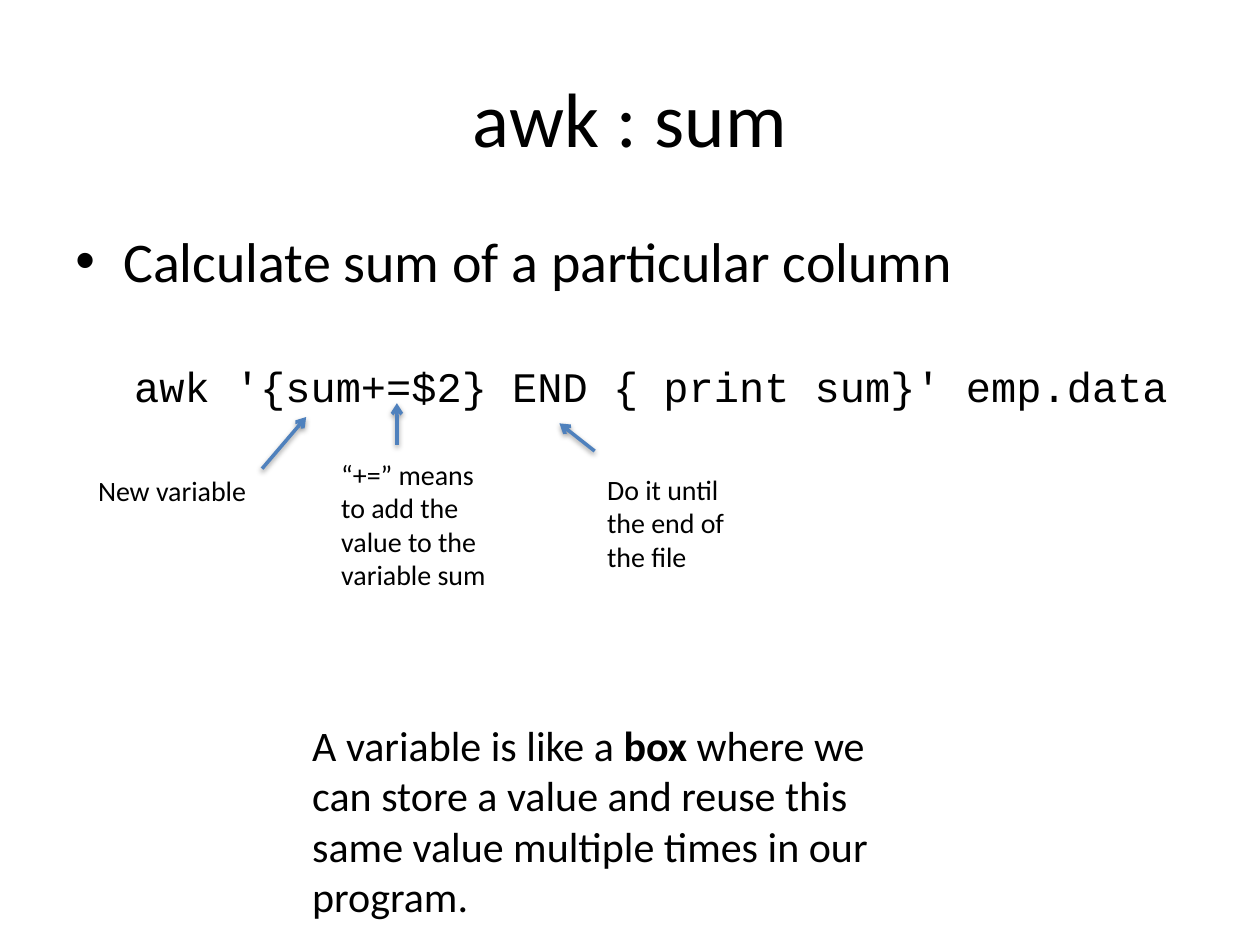
"""Build a slide that explains summing a column with awk."""
from lxml import etree
from pptx import Presentation
from pptx.dml.color import RGBColor
from pptx.enum.shapes import MSO_CONNECTOR
from pptx.enum.text import MSO_ANCHOR, PP_ALIGN
from pptx.oxml import parse_xml
from pptx.oxml.ns import nsdecls, qn
from pptx.util import Inches, Pt

STRAIGHT = MSO_CONNECTOR.STRAIGHT
LEFT, CENTER = PP_ALIGN.LEFT, PP_ALIGN.CENTER
TOP, MIDDLE = MSO_ANCHOR.TOP, MSO_ANCHOR.MIDDLE
COLORS = {"text": "000000", "arrow": "4F81BD", "shadow": "000000"}


def add_span(para, text, size=16, font="Calibri", bold=False):
    span = para.add_run()
    span.text = text
    span.font.size = Pt(size)
    span.font.name = font
    span.font.bold = bold
    span.font.color.rgb = RGBColor.from_string(COLORS["text"])


class SlideBuilder:
    def __init__(self, page):
        self.page = page

    def text(self, place, *spans, align=LEFT, anchor=TOP, wrap=True, bullet=None, **style):
        box = self.page.shapes.add_textbox(*map(Inches, place))
        frame = box.text_frame
        frame.word_wrap = wrap
        frame.vertical_anchor = anchor
        para = frame.paragraphs[0]
        para.alignment = align
        if bullet:
            props = para._p.get_or_add_pPr()
            props.set("marL", str(Inches(0.38)))
            props.set("indent", str(Inches(-0.38)))
            font = etree.SubElement(props, qn("a:buFont"))
            font.set("typeface", "Arial")
            etree.SubElement(props, qn("a:buChar")).set("char", bullet)
        for words, bold in spans:
            add_span(para, words, bold=bold, **style)

    def arrow(self, start, end):
        points = map(Inches, (*start, *end))
        arrow = self.page.shapes.add_connector(STRAIGHT, *points)
        arrow.line.width = Pt(2)
        arrow.line.color.rgb = RGBColor.from_string(COLORS["arrow"])
        head = etree.SubElement(arrow.line._get_or_add_ln(), qn("a:tailEnd"))
        head.set("type", "arrow")
        arrow._element.spPr.append(parse_xml(
            f'<a:effectLst {nsdecls("a")}><a:outerShdw blurRad="{Pt(3.1)}" '
            f'dist="{Pt(1.6)}" dir="5400000" rotWithShape="0">'
            f'<a:srgbClr val="{COLORS["shadow"]}"><a:alpha val="38000"/></a:srgbClr>'
            '</a:outerShdw></a:effectLst>'))


def main():
    deck = Presentation()
    deck.slide_width, deck.slide_height = Inches(10), Inches(7.5)
    slide = SlideBuilder(deck.slides.add_slide(deck.slide_layouts[6]))

    slide.text((0.5, 0.3, 9, 1.25), ("awk : sum", False),
               align=CENTER, anchor=MIDDLE, size=44)
    slide.text((0.5, 1.75, 9, 4.95), ("Calculate sum of a particular column", False),
               bullet="•", size=32)
    slide.text((0.5, 2.81, 9.33, 0.5),
               ("awk '{sum+=$2} END { print sum}' emp.data", False),
               align=CENTER, size=24, font="Courier New")

    slide.text((0.68, 3.71, 1.4, 0.37), ("New variable", False), wrap=False)
    slide.text((2.61, 3.58, 1.35, 1.18),
               ("“+=” means to add the value to the variable sum", False))
    slide.text((4.72, 3.7, 1.31, 0.91), ("Do it until the end of the file", False))
    for start, end in (
        ((2.08, 3.72), (2.43, 3.31)),
        ((3.15, 3.53), (3.15, 3.2)),
        ((4.72, 3.58), (4.44, 3.36)),
    ):
        slide.arrow(start, end)

    slide.text((2.38, 5.66, 5, 1.72),
               ("A variable is like a ", False),
               ("box", True),
               (" where we can store a value and reuse this same value "
                "multiple times in our program.", False),
               size=24)
    deck.save("out.pptx")


if __name__ == "__main__":
    main()
